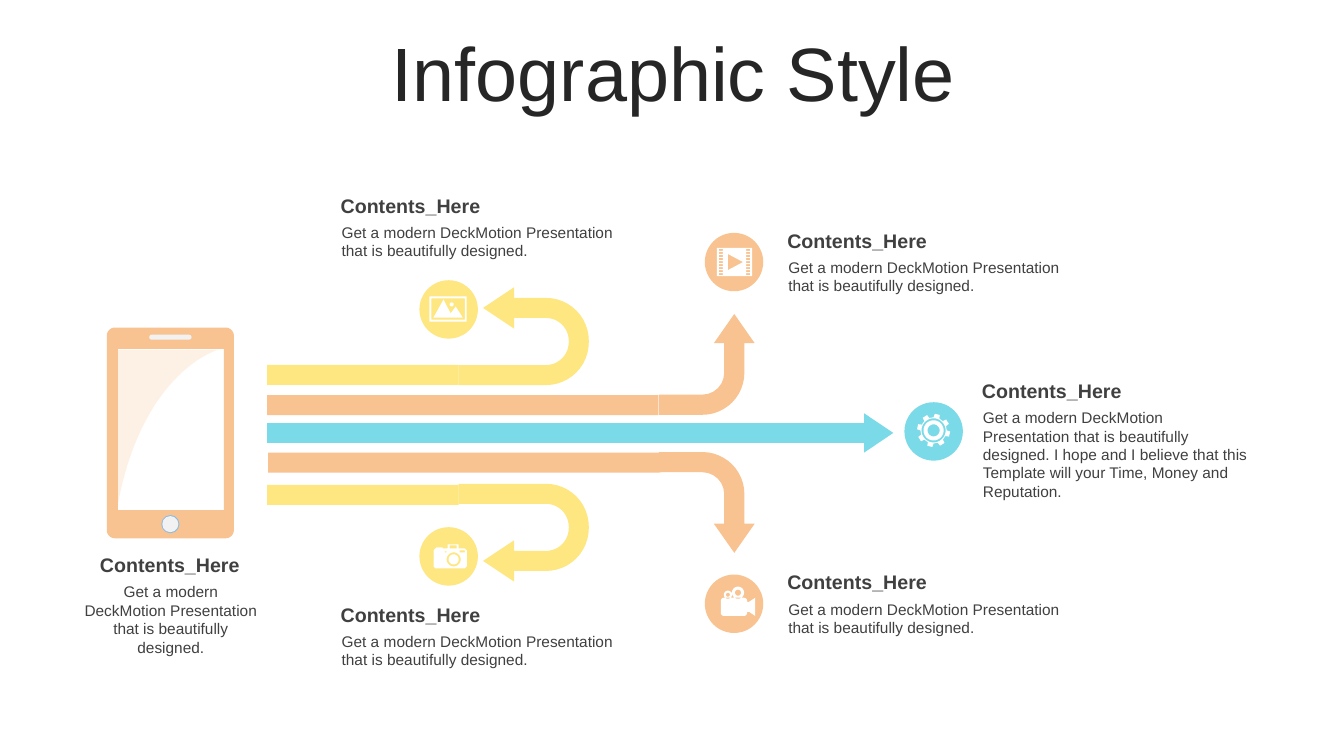
from dataclasses import dataclass
from math import cos, pi, sin

from lxml import etree
from pptx import Presentation
from pptx.dml.color import RGBColor
from pptx.enum.shapes import MSO_SHAPE
from pptx.enum.text import MSO_ANCHOR, MSO_AUTO_SIZE, PP_ALIGN
from pptx.oxml.ns import qn
from pptx.util import Inches, Pt

RECT, OVAL, PILL = MSO_SHAPE.RECTANGLE, MSO_SHAPE.OVAL, MSO_SHAPE.ROUNDED_RECTANGLE
ARROW, BEND, UTURN = MSO_SHAPE.RIGHT_ARROW, MSO_SHAPE.BENT_ARROW, MSO_SHAPE.U_TURN_ARROW
LEFT, CENTER = PP_ALIGN.LEFT, PP_ALIGN.CENTER
MIDDLE, TOP = MSO_ANCHOR.MIDDLE, MSO_ANCHOR.TOP
GROW, FIXED = MSO_AUTO_SIZE.SHAPE_TO_FIT_TEXT, MSO_AUTO_SIZE.NONE
PEACH, YELLOW, CYAN, BLUE = "F8C391", "FEE680", "7ADAE8", "87BCE6"
WHITE, PALE, GREY, DARK = "FFFFFF", "F2F2F2", "404040", "262626"

Path = list[tuple[float, float]]


@dataclass
class Part:
    kind: int
    box: tuple
    color: str
    adj: tuple = ()
    turn: int = 0
    flip: str = ""


@dataclass
class Note:
    x: float
    y: float
    width: float
    height: float = 0.47
    align: int = LEFT
    extra: str = ""


@dataclass
class Icon:
    paths: list
    color: str = WHITE
    alpha: int = 100


prs = Presentation()
prs.slide_width, prs.slide_height = Inches(13.33), Inches(7.5)
shapes = prs.slides.add_slide(prs.slide_layouts[6]).shapes


def paint(shape, color: str) -> None:
    shape.shadow.inherit = False
    shape.fill.solid()
    shape.fill.fore_color.rgb = RGBColor.from_string(color)
    shape.line.fill.background()


def draw_part(part: Part) -> None:
    shape = shapes.add_shape(part.kind, *map(Inches, part.box))
    paint(shape, part.color)
    for i, value in enumerate(part.adj):
        shape.adjustments[i] = value
    shape.rotation = part.turn
    for axis in part.flip:
        shape._element.spPr.xfrm.set("flip" + axis, "1")


def draw_icon(icon: Icon) -> None:
    paths = [[(Inches(x), Inches(y)) for x, y in path] for path in icon.paths]
    pen = shapes.build_freeform(*paths[0][0], scale=1.0)
    for i, path in enumerate(paths):
        if i:
            pen.move_to(*path[0])
        pen.add_line_segments(path[1:], close=True)
    shape = pen.convert_to_shape()
    paint(shape, icon.color)
    if icon.alpha < 100:
        tint = shape._element.spPr.find(".//" + qn("a:srgbClr"))
        etree.SubElement(tint, qn("a:alpha")).set("val", str(icon.alpha * 1000))


def add_text(box: tuple, text: str, size: int, color: str, align: int,
             bold: bool = False, anchor: int = TOP, fit: int = GROW,
             space: float = 1.0) -> None:
    frame = shapes.add_textbox(*map(Inches, box)).text_frame
    frame.word_wrap, frame.auto_size, frame.vertical_anchor = True, fit, anchor
    para = frame.paragraphs[0]
    para.alignment, para.line_spacing = align, space
    run = para.add_run()
    run.text = text
    run.font.name, run.font.size, run.font.bold = "Arial", Pt(size), bold
    run.font.color.rgb = RGBColor.from_string(color)


def draw_note(note: Note) -> None:
    body = "Get a modern DeckMotion Presentation that is beautifully designed."
    add_text((note.x + 0.01, note.y + 0.29, note.width, note.height),
             body + note.extra, 11, GREY, note.align)
    add_text((note.x, note.y, note.width, 0.34), "Contents_Here", 14, GREY,
             note.align, bold=True)


# Outlines as lists of points
def arc(x: float, y: float, r: float, start: float = 0, sweep: float = 360,
        steps: int = 36) -> Path:
    turns = [(start + sweep * i / steps) * pi / 180 for i in range(steps + 1)]
    return [(x + r * cos(t), y + r * sin(t)) for t in turns]


def block(x: float, y: float, w: float, h: float) -> Path:
    return [(x, y), (x + w, y), (x + w, y + h), (x, y + h)]


def rounded(x: float, y: float, w: float, h: float, r: float) -> Path:
    mids = block(x + r, y + r, w - 2 * r, h - 2 * r)
    return [p for i, mid in enumerate(mids) for p in arc(*mid, r, 180 + 90 * i, 90, 8)]


def curve(a: tuple, b: tuple, c: tuple, d: tuple, steps: int = 24) -> Path:
    def point(t: float) -> tuple:
        u = 1 - t
        return tuple(u**3 * p + 3 * u * u * t * q + 3 * u * t * t * r + t**3 * s
                     for p, q, r, s in zip(a, b, c, d))
    return [point(i / steps) for i in range(steps + 1)]


def gear(x: float, y: float, teeth: int = 8) -> Path:
    corners = ((-13, 0.13), (-9, 0.165), (9, 0.165), (13, 0.13))
    return [arc(x, y, r, 13 + 360 / teeth * i + turn, 0, 1)[0]
            for i in range(teeth) for turn, r in corners]


# Title
add_text((0.35, 0.37, 12.66, 0.79), "Infographic Style", 54, DARK, CENTER,
         anchor=MIDDLE, fit=FIXED, space=0.9)

# Phone
draw_icon(Icon([rounded(1.06, 3.25, 1.26, 2.09, 0.08), block(1.17, 3.46, 1.05, 1.6)], PEACH))
draw_part(Part(OVAL, (1.6, 5.11, 0.18, 0.18), BLUE))
glare = curve((1.16, 5.06), (1.32, 4.1), (1.78, 3.61), (2.16, 3.47))
draw_icon(Icon([[(1.16, 3.47)] + glare], PEACH, 22))
draw_part(Part(PILL, (1.48, 3.32, 0.42, 0.05), PALE, (0.5,)))
draw_part(Part(OVAL, (1.61, 5.12, 0.16, 0.16), PALE))

# Arrows
draw_part(Part(ARROW, (2.65, 4.1, 6.21, 0.39), CYAN, (0.5, 0.742)))
bend = (0.211, 0.213, 0.304, 0.438)
loop = (0.205, 0.211, 0.317, 0.438, 0.813)
for part in (
    Part(BEND, (6.51, 3.14, 1, 0.95), PEACH, bend, 90, "H"),
    Part(RECT, (2.65, 3.92, 3.88, 0.2), PEACH),
    Part(UTURN, (4.71, 2.69, 0.97, 1.29), YELLOW, loop, 90, "H"),
    Part(RECT, (2.65, 3.62, 1.9, 0.2), YELLOW),
    Part(BEND, (6.51, 4.51, 1, 0.95), PEACH, bend, 270, "HV"),
    Part(RECT, (2.66, 4.49, 3.88, 0.2), PEACH),
    Part(UTURN, (4.71, 4.64, 0.97, 1.29), YELLOW, loop, 270, "HV"),
    Part(RECT, (2.65, 4.81, 1.9, 0.2), YELLOW),
):
    draw_part(part)

# Discs
for x, y, color in ((6.99, 2.31, PEACH), (6.99, 5.7, PEACH), (8.97, 3.99, CYAN),
                    (4.16, 2.78, YELLOW), (4.16, 5.23, YELLOW)):
    draw_part(Part(OVAL, (x, y, 0.58, 0.58), color))

# Icons: film, photo, gear, camera, video
holes = [block(x, 2.47 + 0.03 * i, 0.04, 0.02) for i in range(9) for x in (7.13, 7.4)]
film = [block(7.11, 2.46, 0.35, 0.28), [(7.22, 2.52), (7.22, 2.68), (7.37, 2.6)], *holes]
hills = [(4.4, 2.97), (4.47, 3.11), (4.52, 3.04), (4.59, 3.15), (4.3, 3.15)]
photo = [block(4.26, 2.94, 0.37, 0.25), block(4.28, 2.96, 0.33, 0.21), hills,
         arc(4.48, 3.02, 0.02)]
cog = [gear(9.26, 4.27)] + [arc(9.26, 4.27, r) for r in (0.12, 0.1, 0.06)]
case = [(4.3, 5.46), (4.32, 5.44), (4.33, 5.43), (4.39, 5.43), (4.39, 5.44), (4.44, 5.44),
        (4.44, 5.4), (4.55, 5.4), (4.55, 5.44), (4.61, 5.44), (4.63, 5.46), (4.63, 5.62),
        (4.61, 5.64), (4.32, 5.64), (4.3, 5.62)]
camera = [case, arc(4.5, 5.55, 0.07), arc(4.5, 5.55, 0.05), block(4.46, 5.41, 0.07, 0.03),
          block(4.56, 5.46, 0.05, 0.02), block(4.41, 5.47, 0.02, 0.01)]
nose = [(7.41, 5.97), (7.43, 5.97), (7.49, 5.93), (7.49, 6.11), (7.43, 6.07), (7.41, 6.07)]
video = [rounded(7.15, 5.93, 0.26, 0.18, 0.03), nose, arc(7.32, 5.88, 0.06),
         arc(7.32, 5.88, 0.03), arc(7.22, 5.9, 0.04), arc(7.22, 5.9, 0.02)]
for paths in (film, photo, cog, camera, video):
    draw_icon(Icon(paths))

# Captions
more = " I hope and I believe that this Template will your Time, Money and Reputation."
for note in (
    Note(0.72, 5.44, 1.93, 0.84, CENTER),
    Note(7.71, 2.22, 2.91),
    Note(7.71, 5.61, 2.91),
    Note(9.64, 3.71, 2.85, 0.84, extra=more),
    Note(3.28, 1.87, 2.98),
    Note(3.28, 5.93, 2.98),
):
    draw_note(note)

prs.save("out.pptx")
